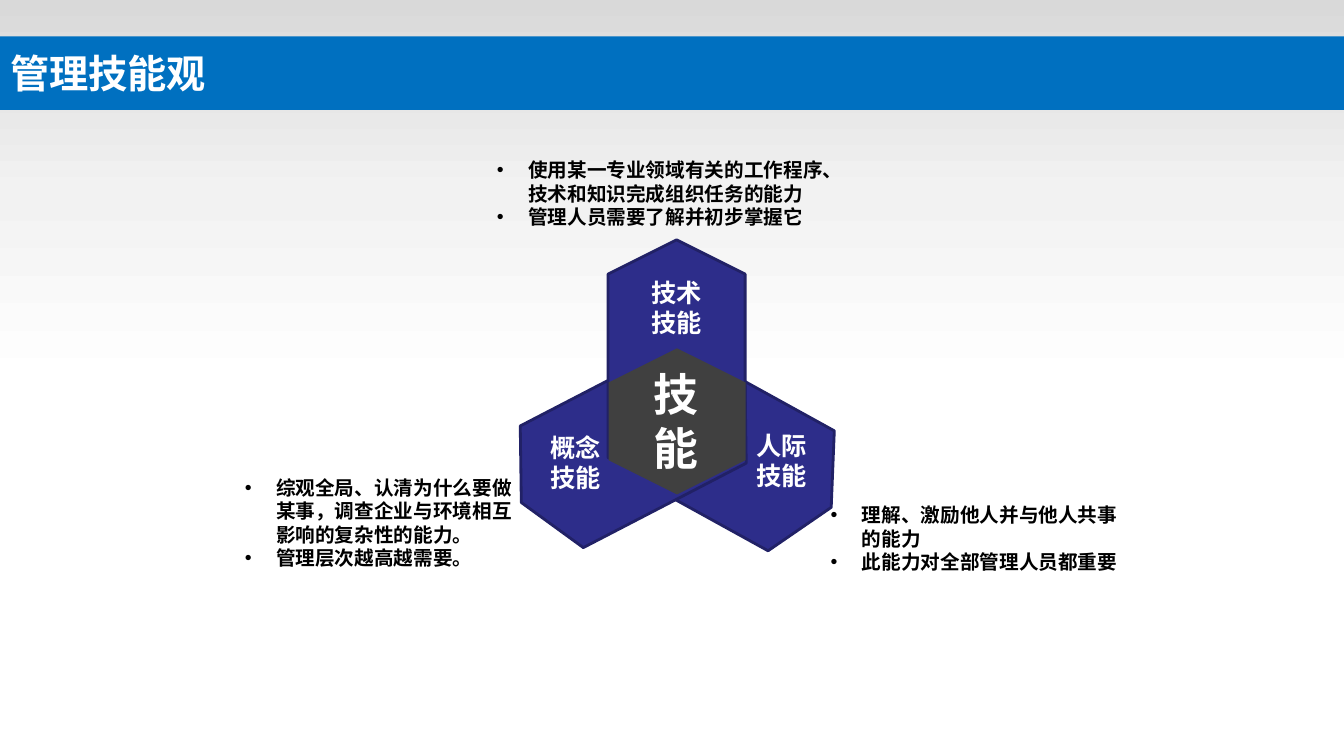
from copy import deepcopy

from pptx import Presentation
from pptx.dml.color import RGBColor
from pptx.enum.shapes import MSO_SHAPE as Shape
from pptx.enum.text import MSO_ANCHOR as Anchor, MSO_AUTO_SIZE as AutoSize, PP_ALIGN as Align
from pptx.oxml.ns import qn
from pptx.util import Inches, Pt

FONT = "Noto Sans CJK SC"
COLORS = {
    "white": "FFFFFF",
    "black": "000000",
    "banner": "0070C0",
    "arm": "2D2D8A",
    "arm_edge": "212166",
    "core": "404040",
}
BACKDROP_STOPS = [(0, "D9D9D9"), (0.5, "F2F2F2"), (1, "FFFFFF")]

ARM_SIZE = (2.5, 1.36)
ARMS = [(5.9, 3.75, 28.9), (5.03, 3.73, 152.6), (5.46, 2.95, 90)]
LABELS = [
    (6.36, 2.7, ["技术", "技能"]),
    (5.36, 4.24, ["概念", "技能"]),
    (7.4, 4.22, ["人际", "技能"]),
]
NOTES = [
    ((4.83, 1.52, 3.48, 0.81),
     ["使用某一专业领域有关的工作程序、技术和知识完成组织任务的能力",
      "管理人员需要了解并初步掌握它"]),
    ((8.14, 4.94, 3.18, 0.81),
     ["理解、激励他人并与他人共事的能力",
      "此能力对全部管理人员都重要"]),
    ((2.33, 4.67, 2.89, 1.04),
     ["综观全局、认清为什么要做某事，调查企业与环境相互影响的复杂性的能力。",
      "管理层次越高越需要。"]),
]


def color(name):
    return RGBColor.from_string(COLORS[name])


def add_span(para, text, size, color_name):
    span = para.add_run()
    span.text = text
    span.font.size = Pt(size)
    span.font.bold = True
    span.font.name = FONT
    span.font.color.rgb = color(color_name)
    properties = span.font._element if hasattr(span.font, "_element") else span._r.get_or_add_rPr()
    east_asian = properties.makeelement(qn("a:ea"), {"typeface": FONT})
    properties.find(qn("a:latin")).addnext(east_asian)


def add_bullet(para, indent=0.31):
    properties = para._p.get_or_add_pPr()
    properties.set("marL", str(Inches(indent)))
    properties.set("indent", str(Inches(-indent)))
    for tag, attributes in (("a:buFont", {"typeface": "Arial"}), ("a:buChar", {"char": "•"})):
        properties.append(properties.makeelement(qn(tag), attributes))


def add_backdrop(page):
    """Add the grey fade that covers the upper half of the page."""
    backdrop = page.shapes.add_shape(Shape.RECTANGLE, 0, 0, Inches(13.33), Inches(3.83))
    backdrop.shadow.inherit = False
    backdrop.line.fill.background()
    fill = backdrop.fill
    fill.gradient()
    fill.gradient_angle = 270
    first_stop = next(backdrop.element.iter(qn("a:gs")))
    first_stop.addnext(deepcopy(first_stop))
    for stop, (position, shade) in zip(fill.gradient_stops, BACKDROP_STOPS):
        stop.position = position
        stop.color.rgb = RGBColor.from_string(shade)


def add_banner_title(page, text):
    title = page.shapes.title
    title.left, title.top = Inches(0), Inches(0.36)
    title.width, title.height = Inches(13.33), Inches(0.73)
    title.fill.solid()
    title.fill.fore_color.rgb = color("banner")
    frame = title.text_frame
    frame.vertical_anchor = Anchor.MIDDLE
    para = frame.paragraphs[0]
    para.alignment = Align.LEFT
    add_span(para, text, 28, "white")
    # The placeholder comes first in the tree, so lift it above the backdrop.
    page.shapes.element.append(title.element)


def add_hexagon(page, left, top, size, rotation, fill, edge=None):
    hexagon = page.shapes.add_shape(
        Shape.HEXAGON, Inches(left), Inches(top), *map(Inches, size))
    hexagon.rotation = rotation
    hexagon.shadow.inherit = False
    hexagon.fill.solid()
    hexagon.fill.fore_color.rgb = color(fill)
    if edge:
        hexagon.line.color.rgb = color(edge)
        hexagon.line.width = Pt(2)
    else:
        hexagon.line.fill.background()


def add_text(page, place, lines, size, color_name, wrap=True, bullets=False):
    box = page.shapes.add_textbox(*map(Inches, place))
    frame = box.text_frame
    frame.word_wrap = wrap
    frame.auto_size = AutoSize.SHAPE_TO_FIT_TEXT
    for index, line in enumerate(lines):
        para = frame.add_paragraph() if index else frame.paragraphs[0]
        if bullets:
            add_bullet(para)
        add_span(para, line, size, color_name)


def main():
    deck = Presentation()
    deck.slide_width, deck.slide_height = Inches(13.33), Inches(7.5)
    page = deck.slides.add_slide(deck.slide_layouts[5])

    add_backdrop(page)
    add_banner_title(page, "管理技能观")
    for left, top, rotation in ARMS:
        add_hexagon(page, left, top, ARM_SIZE, rotation, "arm", "arm_edge")
    add_hexagon(page, 5.99, 3.5, (1.45, 1.36), 90, "core")
    for left, top, lines in LABELS:
        add_text(page, (left, top, 0.71, 0.71), lines, 18, "white", wrap=False)
    add_text(page, (6.38, 3.59, 0.96, 1.18), ["技能"], 32, "white")
    for place, lines in NOTES:
        add_text(page, place, lines, 14, "black", bullets=True)

    deck.save("out.pptx")


if __name__ == "__main__":
    main()
